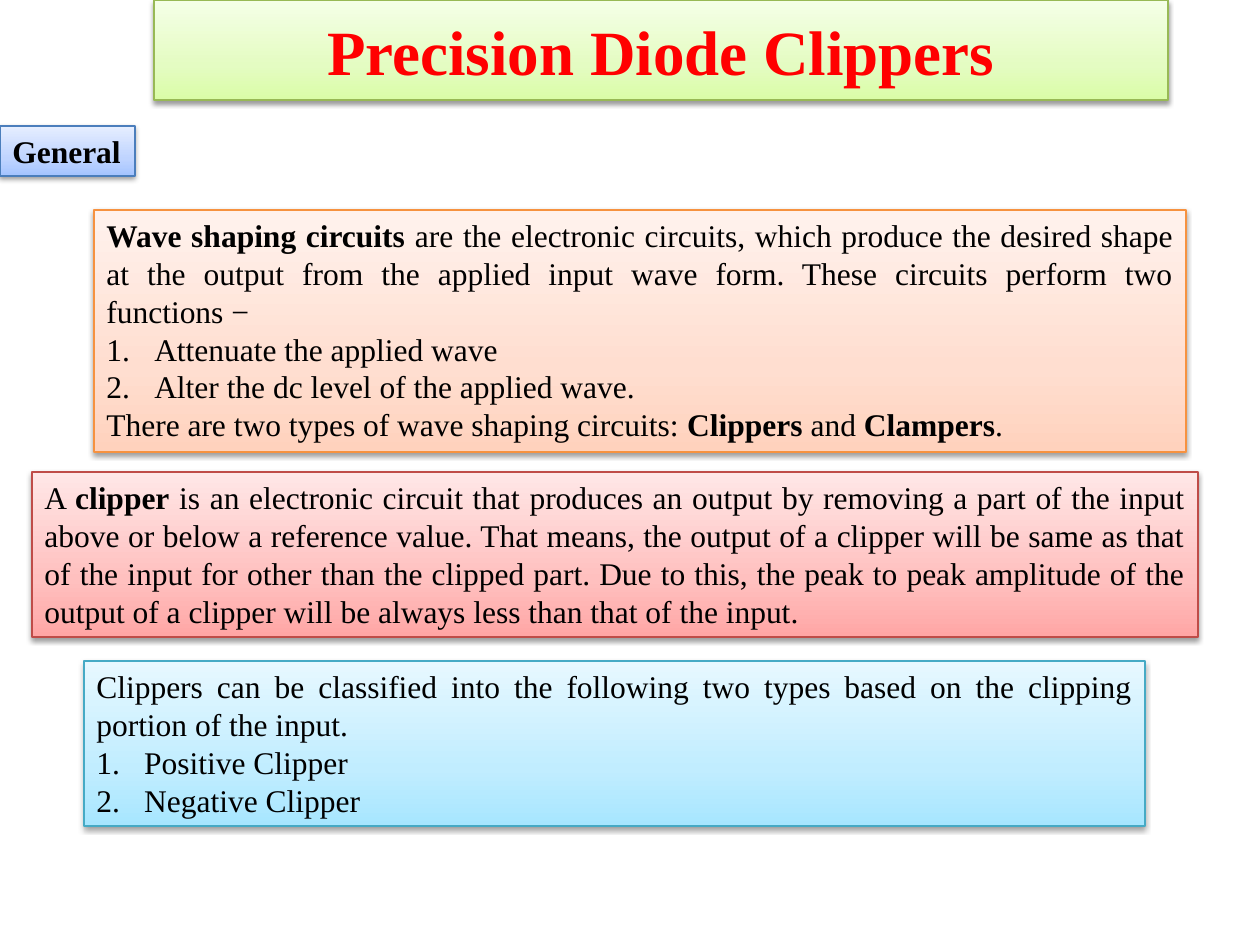
from lxml.etree import SubElement
from pptx import Presentation
from pptx.dml.color import RGBColor
from pptx.enum.shapes import MSO_SHAPE
from pptx.enum.text import MSO_ANCHOR, MSO_AUTO_SIZE, PP_ALIGN
from pptx.oxml.ns import qn
from pptx.util import Emu, Inches, Pt

PX = 914400 / 126
FONT = "Times New Roman"
BLACK = RGBColor(0x00, 0x00, 0x00)
RED = RGBColor(0xFF, 0x00, 0x00)


def palette(line, *stops):
    return {"line": RGBColor.from_string(line),
            "stops": [RGBColor.from_string(stop) for stop in stops]}


GREEN = palette("98B955", "DAFDA7", "E4FCC2", "F5FFE7")
BLUE = palette("4B7EBC", "A4C4FF", "BFD4FF", "E6EEFF")
ORANGE = palette("F69240", "FFD2BD", "FFDED0", "FFF2ED")
ROSE = palette("BF4C48", "FFA6A5", "FFC0BF", "FFE7E7")
AQUA = palette("46AAC5", "A7E6FF", "C1EDFF", "E7F8FF")
STOP_POSITIONS = (0, 35000, 100000)

# Content: a paragraph is (numbered, [(text, bold), ...])
TITLE = [(False, [("Precision Diode Clippers", True)])]
HEADING = [(False, [("General", True)])]
WAVE_SHAPING = [
    (False, [("Wave shaping circuits", True),
             (" are the electronic circuits, which produce the desired shape at the "
              "output from the applied input wave form. These circuits perform two "
              "functions −", False)]),
    (True, [("Attenuate the applied wave", False)]),
    (True, [("Alter the dc level of the applied wave.", False)]),
    (False, [("There are two types of wave shaping circuits: ", False),
             ("Clippers", True), (" and ", False), ("Clampers", True), (".", False)]),
]
CLIPPER = [
    (False, [("A ", False), ("clipper", True),
             (" is an electronic circuit that produces an output by removing a part of "
              "the input above or below a reference value. That means, the output of a "
              "clipper will be same as that of the input for other than the clipped "
              "part. Due to this, the peak to peak amplitude of the output of a clipper "
              "will be always less than that of the input.", False)]),
]
CLASSES = [
    (False, [("Clippers can be classified into the following two types based on the "
              "clipping portion of the input.", False)]),
    (True, [("Positive Clipper", False)]),
    (True, [("Negative Clipper", False)]),
]

TITLE_FONT = {"name": FONT, "size": Pt(36)}
BODY_FONT = {"name": FONT, "size": Pt(18)}
TITLE_FRAME = {"vertical_anchor": MSO_ANCHOR.MIDDLE, "word_wrap": True}
BODY_FRAME = {"vertical_anchor": MSO_ANCHOR.TOP, "word_wrap": True,
              "auto_size": MSO_AUTO_SIZE.SHAPE_TO_FIT_TEXT}
HEADING_FRAME = {**BODY_FRAME, "word_wrap": False}

# Box in px, colours, paragraphs, alignment, text colour, font, frame
PANELS = [
    ((154, 0, 1014, 100), GREEN, TITLE, PP_ALIGN.CENTER, RED, TITLE_FONT, TITLE_FRAME),
    ((0, 126, 135, 50), BLUE, HEADING, PP_ALIGN.LEFT, BLACK, BODY_FONT, HEADING_FRAME),
    ((94, 210, 1092, 242), ORANGE, WAVE_SHAPING, PP_ALIGN.JUSTIFY, BLACK, BODY_FONT,
     BODY_FRAME),
    ((32, 472, 1166, 165), ROSE, CLIPPER, PP_ALIGN.JUSTIFY, BLACK, BODY_FONT, BODY_FRAME),
    ((84, 661, 1061, 165), AQUA, CLASSES, PP_ALIGN.JUSTIFY, BLACK, BODY_FONT, BODY_FRAME),
]


def set_all(target, values):
    for name, value in values.items():
        setattr(target, name, value)


def add_element(parent, tag, **attributes):
    return SubElement(parent, qn(tag), {k: str(v) for k, v in attributes.items()})


def paint(panel, colours):
    # Three-stop vertical gradient
    panel.fill.gradient()
    panel.fill.gradient_angle = 90
    properties = panel.element.spPr
    stop_list = properties.find(".//" + qn("a:gsLst"))
    for stop in list(stop_list):
        stop_list.remove(stop)
    for position, colour in zip(STOP_POSITIONS, colours["stops"]):
        add_element(add_element(stop_list, "a:gs", pos=position), "a:srgbClr", val=colour)
    panel.line.color.rgb = colours["line"]
    panel.line.width = Pt(0.75)
    # Soft shadow below
    panel.shadow.inherit = False
    shadow = add_element(properties.find(qn("a:effectLst")), "a:outerShdw", blurRad=Pt(3.1),
                         dist=Pt(1.6), dir=5400000, rotWithShape=0)
    add_element(add_element(shadow, "a:srgbClr", val=BLACK), "a:alpha", val=38000)


def write(frame, paragraphs, alignment, colour, font):
    for index, (numbered, runs) in enumerate(paragraphs):
        paragraph = frame.add_paragraph() if index else frame.paragraphs[0]
        paragraph.alignment = alignment
        if numbered:
            indent = Inches(0.38)
            properties = paragraph._p.get_or_add_pPr()
            set_indent = {"marL": indent, "indent": -indent}
            for name, value in set_indent.items():
                properties.set(name, str(value))
            add_element(properties, "a:buFont", typeface="+mj-lt")
            add_element(properties, "a:buAutoNum", type="arabicPeriod")
        for text, bold in runs:
            run = paragraph.add_run()
            run.text = text
            set_all(run.font, {**font, "bold": bold})
            run.font.color.rgb = colour


def main():
    deck = Presentation()
    set_all(deck, {"slide_width": Inches(10), "slide_height": Inches(7.5)})
    slide = deck.slides.add_slide(deck.slide_layouts[6])
    for box, colours, paragraphs, alignment, colour, font, frame in PANELS:
        place = [Emu(round(length * PX)) for length in box]
        panel = slide.shapes.add_shape(MSO_SHAPE.RECTANGLE, *place)
        paint(panel, colours)
        set_all(panel.text_frame, frame)
        write(panel.text_frame, paragraphs, alignment, colour, font)
    deck.save("out.pptx")


if __name__ == "__main__":
    main()
